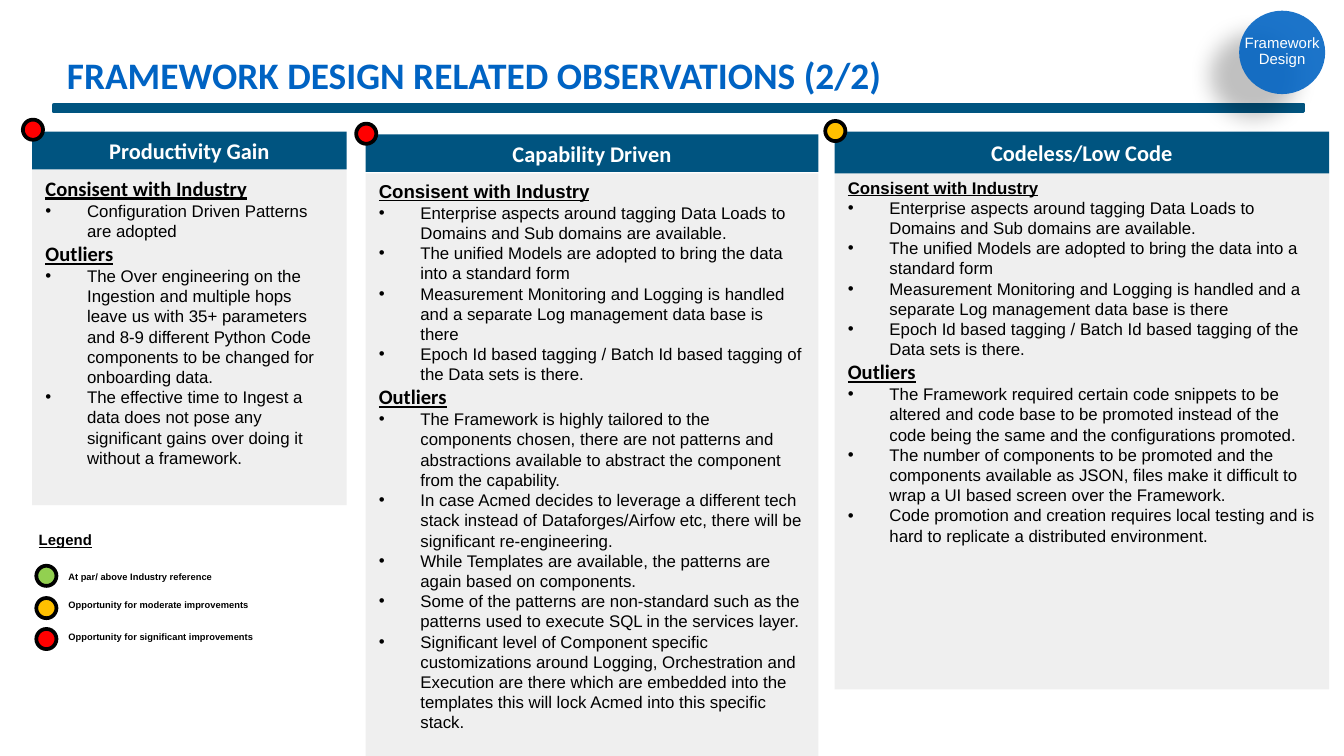
from dataclasses import dataclass

from lxml import etree
from pptx import Presentation
from pptx.dml.color import RGBColor
from pptx.enum.shapes import MSO_SHAPE
from pptx.enum.text import MSO_ANCHOR, PP_ALIGN
from pptx.oxml.ns import qn
from pptx.util import Emu, Pt

RECTANGLE, OVAL = MSO_SHAPE.RECTANGLE, MSO_SHAPE.OVAL
TOP, MIDDLE, BOTTOM = MSO_ANCHOR.TOP, MSO_ANCHOR.MIDDLE, MSO_ANCHOR.BOTTOM
LEFT, CENTER = PP_ALIGN.LEFT, PP_ALIGN.CENTER

BLACK = RGBColor(0x00, 0x00, 0x00)
WHITE = RGBColor(0xFF, 0xFF, 0xFF)
BLUE = RGBColor(0x00, 0x63, 0xC3)
TEAL = RGBColor(0x00, 0x54, 0x80)
GREY = RGBColor(0xEF, 0xEF, 0xEF)
GREEN = RGBColor(0x92, 0xD0, 0x50)
AMBER = RGBColor(0xFF, 0xC0, 0x00)
RED = RGBColor(0xFF, 0x00, 0x00)

EMU_PER_PX = 9144  # 100 px to the inch
SLIDE_WIDTH = 1000
DOT_SIZE = 15
BULLET_INDENT = 31


@dataclass
class Heading:
    text: str
    size: int = 11
    font: str = "Calibri"


@dataclass
class Column:
    title: str
    left: int
    top: int
    width: int
    header_height: int
    body_top: int
    body_height: int
    dot_top: int
    rating: RGBColor
    content: list[Heading | str]


@dataclass
class LegendEntry:
    text: str
    color: RGBColor
    dot_top: int
    text_top: int


SHARED_STRENGTHS = [
    "Enterprise aspects around tagging Data Loads to Domains and Sub domains are available.",
    "The unified Models are adopted to bring the data into a standard form",
    "Measurement Monitoring and Logging is handled and a separate Log management data base is there",
    "Epoch Id based tagging / Batch Id based tagging of the Data sets is there.",
]

COLUMNS = [
    Column("Productivity Gain", 24, 98, 234, 28, 126, 250, 89, RED, [
        Heading("Consisent with Industry"),
        "Configuration Driven Patterns are adopted",
        Heading("Outliers"),
        "The Over engineering on the Ingestion and multiple hops leave us with 35+ parameters "
        "and 8-9 different Python Code components to be changed for onboarding data.",
        "The effective time to Ingest a data does not pose any significant gains over doing it "
        "without a framework.",
    ]),
    Column("Capability Driven", 272, 100, 337, 28, 129, 434, 92, RED, [
        Heading("Consisent with Industry", 10, "Arial"),
        *SHARED_STRENGTHS,
        Heading("Outliers"),
        "The Framework is highly tailored to the components chosen, there are not patterns and "
        "abstractions available to abstract the component from the capability.",
        "In case Acmed decides to leverage a different tech stack instead of Dataforges/Airfow "
        "etc, there will be significant re-engineering.",
        "While Templates are available, the patterns are again based on components.",
        "Some of the patterns are non-standard such as the patterns used to execute SQL in the "
        "services layer.",
        "Significant level of Component specific customizations around Logging, Orchestration "
        "and Execution are there which are embedded into the templates this will lock Acmed "
        "into this specific stack.",
    ]),
    Column("Codeless/Low Code", 621, 98, 368, 31, 127, 386, 90, AMBER, [
        Heading("Consisent with Industry", 9, "Arial"),
        *SHARED_STRENGTHS,
        Heading("Outliers"),
        "The Framework required certain code snippets to be altered and code base to be "
        "promoted instead of the code being the same and the configurations promoted.",
        "The number of components to be promoted and the components available as JSON, files "
        "make it difficult to wrap a UI based screen over the Framework.",
        "Code promotion and creation requires local testing and is hard to replicate a "
        "distributed environment.",
    ]),
]

LEGEND = [
    LegendEntry("At par/ above Industry reference", GREEN, 421, 420),
    LegendEntry("Opportunity for moderate improvements", AMBER, 445, 441),
    LegendEntry("Opportunity for significant improvements", RED, 468, 465),
]


def px(length: int) -> Emu:
    return Emu(length * EMU_PER_PX)


def add_block(shapes, kind, left: int, top: int, width: int, height: int,
              fill: RGBColor, line: RGBColor | None = None):
    shape = shapes.add_shape(kind, px(left), px(top), px(width), px(height))
    shape.shadow.inherit = False
    shape.fill.solid()
    shape.fill.fore_color.rgb = fill
    if line is None:
        shape.line.fill.background()
    else:
        shape.line.color.rgb = line
        shape.line.width = Pt(2)
    return shape


def add_dot(shapes, left: int, top: int, color: RGBColor) -> None:
    add_block(shapes, OVAL, left, top, DOT_SIZE, DOT_SIZE, color, BLACK)


def add_box(shapes, left: int, top: int, width: int, height: int):
    return shapes.add_textbox(px(left), px(top), px(width), px(height))


def set_frame(box, anchor=TOP, wrap: bool = True, inset: int | None = None) -> None:
    frame = box.text_frame
    frame.word_wrap = wrap
    frame.vertical_anchor = anchor
    if inset is not None:
        frame.margin_left = frame.margin_right = px(inset)
        frame.margin_top = frame.margin_bottom = px(inset)


def add_text(box, text: str, *, size: int, font: str = "Arial", color: RGBColor = BLACK,
             bold: bool = False, underline: bool = False, align=LEFT,
             bullet: bool = False, spacing: float | None = None) -> None:
    frame = box.text_frame
    para = frame.paragraphs[0]
    if para.runs:
        para = frame.add_paragraph()
    para.alignment = align
    if spacing is not None:
        para.line_spacing = spacing
    if bullet:
        properties = para._p.get_or_add_pPr()
        properties.set("marL", str(px(BULLET_INDENT)))
        properties.set("indent", str(-px(BULLET_INDENT)))
        etree.SubElement(properties, qn("a:buFont")).set("typeface", "Arial")
        etree.SubElement(properties, qn("a:buChar")).set("char", "•")
    span = para.add_run()
    span.text = text
    span.font.size = Pt(size)
    span.font.name = font
    span.font.color.rgb = color
    span.font.bold = bold
    span.font.underline = underline


def set_alpha(color_element, percent: int) -> None:
    etree.SubElement(color_element, qn("a:alpha")).set("val", str(percent * 1000))


def add_shadow(shape) -> None:
    effects = shape._element.spPr.find(qn("a:effectLst"))
    shadow = etree.SubElement(effects, qn("a:outerShdw"), blurRad=str(Pt(11.8)),
                              dist=str(Pt(19.7)), dir=str(141 * 60000), rotWithShape="0")
    set_alpha(etree.SubElement(shadow, qn("a:srgbClr"), val=str(BLACK)), 28)


def draw_column(shapes, column: Column) -> None:
    body = add_block(shapes, RECTANGLE, column.left, column.body_top,
                     column.width, column.body_height, GREY)
    set_frame(body)
    for item in column.content:
        if isinstance(item, Heading):
            add_text(body, item.text, size=item.size, font=item.font, bold=True, underline=True)
        else:
            add_text(body, item, size=9, bullet=True)
    header = add_block(shapes, RECTANGLE, column.left, column.top,
                       column.width, column.header_height, TEAL)
    set_frame(header, MIDDLE)
    add_text(header, column.title, size=12, font="Calibri", color=WHITE, bold=True, align=CENTER)
    add_dot(shapes, column.left - 7, column.dot_top, column.rating)


def draw_badge(shapes) -> None:
    badge = shapes.add_group_shape().shapes
    disc = add_block(badge, OVAL, 922, 8, 64, 62, BLUE)
    set_alpha(disc._element.spPr.find(qn("a:solidFill"))[0], 89)
    add_shadow(disc)
    label = add_box(badge, 924, 16, 60, 45)
    set_frame(label, MIDDLE, inset=1)
    for word in ("Framework", "Design"):
        add_text(label, word, size=8, color=WHITE, align=CENTER, spacing=0.9)


def draw_legend(shapes) -> None:
    title = add_box(shapes, 19, 390, 60, 24)
    set_frame(title, wrap=False)
    add_text(title, "Legend", size=8, bold=True, underline=True)
    for entry in LEGEND:
        add_dot(shapes, 27, entry.dot_top, entry.color)
        label = add_box(shapes, 41, entry.text_top, 269, 19)
        set_frame(label)
        add_text(label, entry.text, size=5, bold=True)


def main() -> None:
    deck = Presentation()
    deck.slide_width = px(SLIDE_WIDTH)
    deck.slide_height = px(SLIDE_WIDTH) * 9 // 16
    shapes = deck.slides.add_slide(deck.slide_layouts[6]).shapes

    # Title and rule
    title = add_box(shapes, 40, 33, 664, 44)
    set_frame(title, BOTTOM)
    add_text(title, "FRAMEWORK DESIGN RELATED OBSERVATIONS (2/2)",
             size=20, font="Calibri", color=BLUE, bold=True)
    add_block(shapes, RECTANGLE, 40, 78, 930, 5, TEAL, TEAL)

    # Observation columns
    for column in COLUMNS:
        draw_column(shapes, column)

    # Corner badge and legend
    draw_badge(shapes)
    draw_legend(shapes)
    deck.save("out.pptx")


if __name__ == "__main__":
    main()
